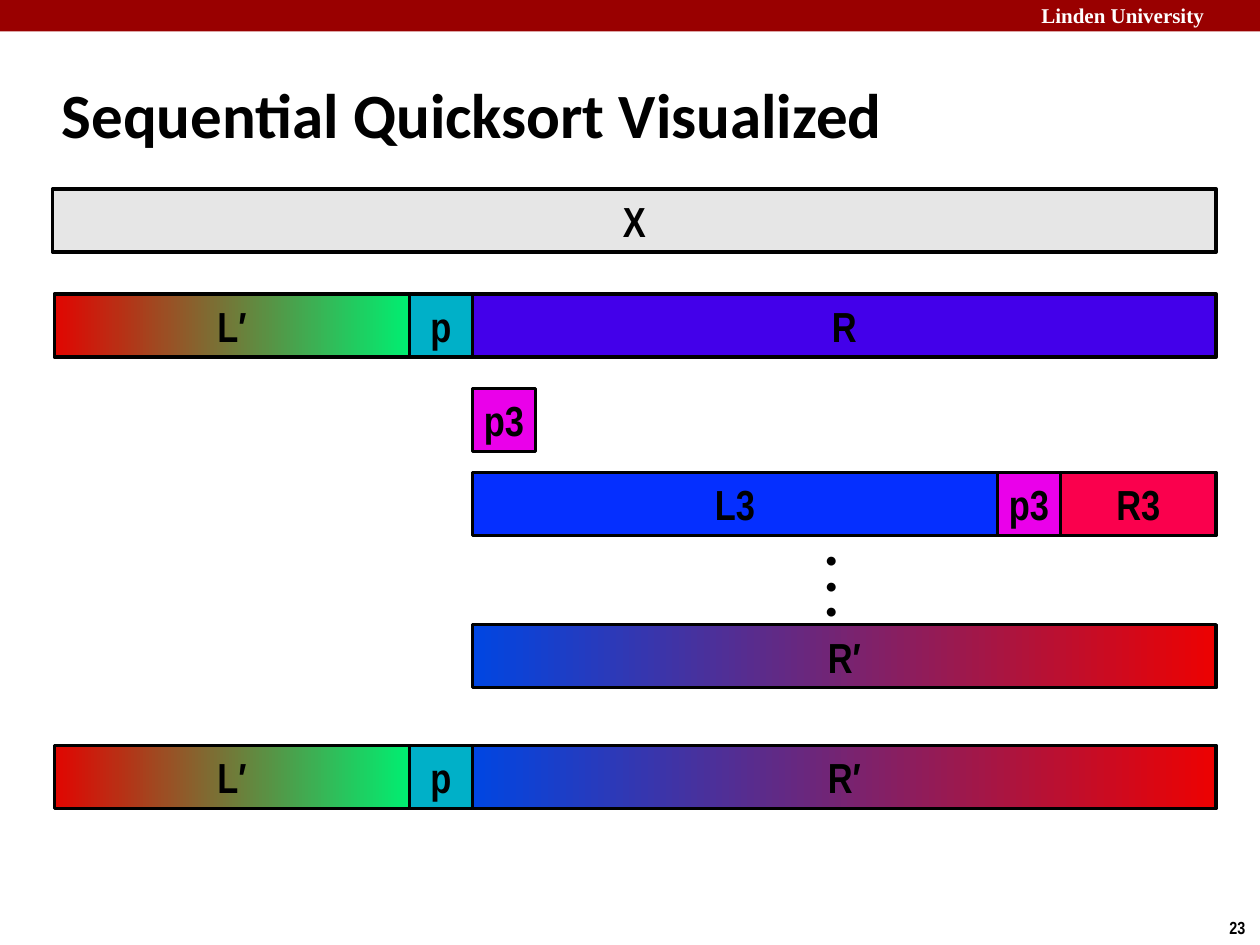
from typing import NamedTuple

import pptx
import pptx.dml.color
import pptx.enum.shapes
import pptx.enum.text
import pptx.util

Pt = pptx.util.Pt
BLACK, WHITE = "000000", "FFFFFF"
LEFT, PIVOT, SPLIT, RIGHT = 31, 234, 270, 695
BAR_HEIGHT = 36
PIVOT_WIDTH = 36
LEFT_SORTED = ("E10601", "00EE71")
RIGHT_SORTED = ("0046E2", "ED0101")


class Segment(NamedTuple):
    """One part of the array; two colours make a gradient."""
    label: str
    start: float
    end: float
    top: float
    colors: tuple[str, ...]


class Label(NamedTuple):
    """A free text box with one paragraph per line."""
    text: str
    left: float
    top: float
    width: float
    height: float
    font: str
    size: float
    color: str


def rgb(value: str) -> pptx.dml.color.RGBColor:
    """Turn a hex string into a colour."""
    return pptx.dml.color.RGBColor.from_string(value)


def format_text(frame, font: str, size: float, color: str, align) -> None:
    """Format every run of a text frame in bold."""
    for para in frame.paragraphs:
        para.alignment = align
        for span in para.runs:
            span.font.name = font
            span.font.size = Pt(size)
            span.font.bold = True
            span.font.color.rgb = rgb(color)


def add_box(page, left: float, top: float, width: float, height: float,
            colors: tuple[str, ...]):
    """Add a rectangle with a plain or left-to-right gradient fill."""
    box = page.shapes.add_shape(pptx.enum.shapes.MSO_SHAPE.RECTANGLE,
                                Pt(left), Pt(top), Pt(width), Pt(height))
    box.shadow.inherit = False
    if len(colors) == 1:
        box.fill.solid()
        box.fill.fore_color.rgb = rgb(colors[0])
    else:
        box.fill.gradient()
        box.fill.gradient_angle = 0
        for position, (stop, color) in enumerate(zip(box.fill.gradient_stops, colors)):
            stop.position = position
            stop.color.rgb = rgb(color)
    return box


def add_segment(page, segment: Segment) -> None:
    """Draw an outlined, labelled part of the array."""
    box = add_box(page, segment.start, segment.top, segment.end - segment.start,
                  BAR_HEIGHT, segment.colors)
    box.line.color.rgb = rgb(BLACK)
    box.line.width = Pt(2)
    frame = box.text_frame
    frame.word_wrap = False
    frame.vertical_anchor = pptx.enum.text.MSO_ANCHOR.MIDDLE
    frame.text = segment.label
    format_text(frame, "Arial Narrow", 24, BLACK, pptx.enum.text.PP_ALIGN.CENTER)


def add_label(page, label: Label) -> None:
    """Draw a left-aligned text box."""
    box = page.shapes.add_textbox(Pt(label.left), Pt(label.top),
                                  Pt(label.width), Pt(label.height))
    box.text_frame.word_wrap = False
    box.text_frame.text = label.text
    format_text(box.text_frame, label.font, label.size, label.color,
                pptx.enum.text.PP_ALIGN.LEFT)


def add_title(page, text: str) -> None:
    """Place and format the title placeholder."""
    title = page.shapes.title
    title.left, title.top, title.width, title.height = Pt(28), Pt(35), Pt(598), Pt(60)
    frame = title.text_frame
    frame.text = text
    frame.auto_size = pptx.enum.text.MSO_AUTO_SIZE.NONE
    frame.vertical_anchor = pptx.enum.text.MSO_ANCHOR.MIDDLE
    format_text(frame, "Calibri", 36, BLACK, pptx.enum.text.PP_ALIGN.LEFT)


def split_row(top: float, right_label: str, right_colors: tuple[str, ...]) -> list[Segment]:
    """Return sorted left part, pivot and right part of one row."""
    return [
        Segment("L′", LEFT, PIVOT, top, LEFT_SORTED),
        Segment("p", PIVOT, SPLIT, top, ("00B0C8",)),
        Segment(right_label, SPLIT, RIGHT, top, right_colors),
    ]


SECOND_PIVOT = 570
SECOND_SPLIT = SECOND_PIVOT + PIVOT_WIDTH
SEGMENTS = [
    Segment("X", 30, RIGHT, 108, ("E6E6E6",)),
    *split_row(168, "R", ("4300EA",)),
    Segment("p3", SPLIT, SPLIT + PIVOT_WIDTH, 222, ("EA00EA",)),
    Segment("L3", SPLIT, SECOND_PIVOT, 270, ("052FFF",)),
    Segment("p3", SECOND_PIVOT, SECOND_SPLIT, 270, ("EA00EA",)),
    Segment("R3", SECOND_SPLIT, RIGHT, 270, ("FA004D",)),
    Segment("R′", SPLIT, RIGHT, 357, RIGHT_SORTED),
    *split_row(426, "R′", RIGHT_SORTED),
]
LABELS = [
    Label("Linden University", 588, -2, 137, 22, "Times New Roman", 12, WHITE),
    Label("23", 695.5, 520.5, 24.5, 19.5, "Arial Narrow", 10, BLACK),
    Label("•\n•\n•", 465, 309, 20, 51, "Calibri", 12, BLACK),
]

deck = pptx.Presentation()
deck.slide_width, deck.slide_height = Pt(720), Pt(540)
page = deck.slides.add_slide(deck.slide_layouts[5])
add_title(page, "Sequential Quicksort Visualized")
banner = add_box(page, 0, 0, 720, 18, ("990000",))
banner.line.fill.background()
for segment in SEGMENTS:
    add_segment(page, segment)
for label in LABELS:
    add_label(page, label)
deck.save("out.pptx")
